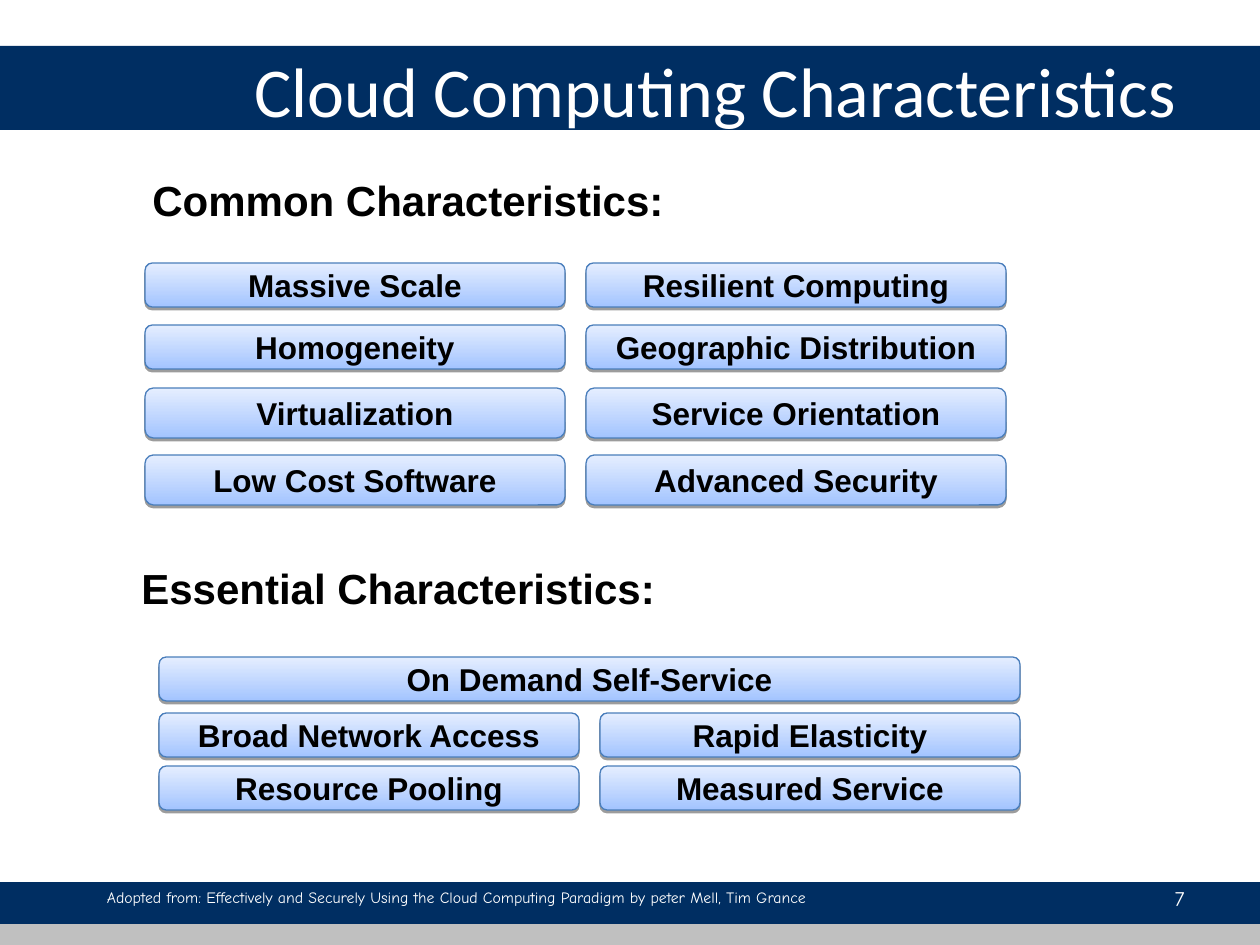
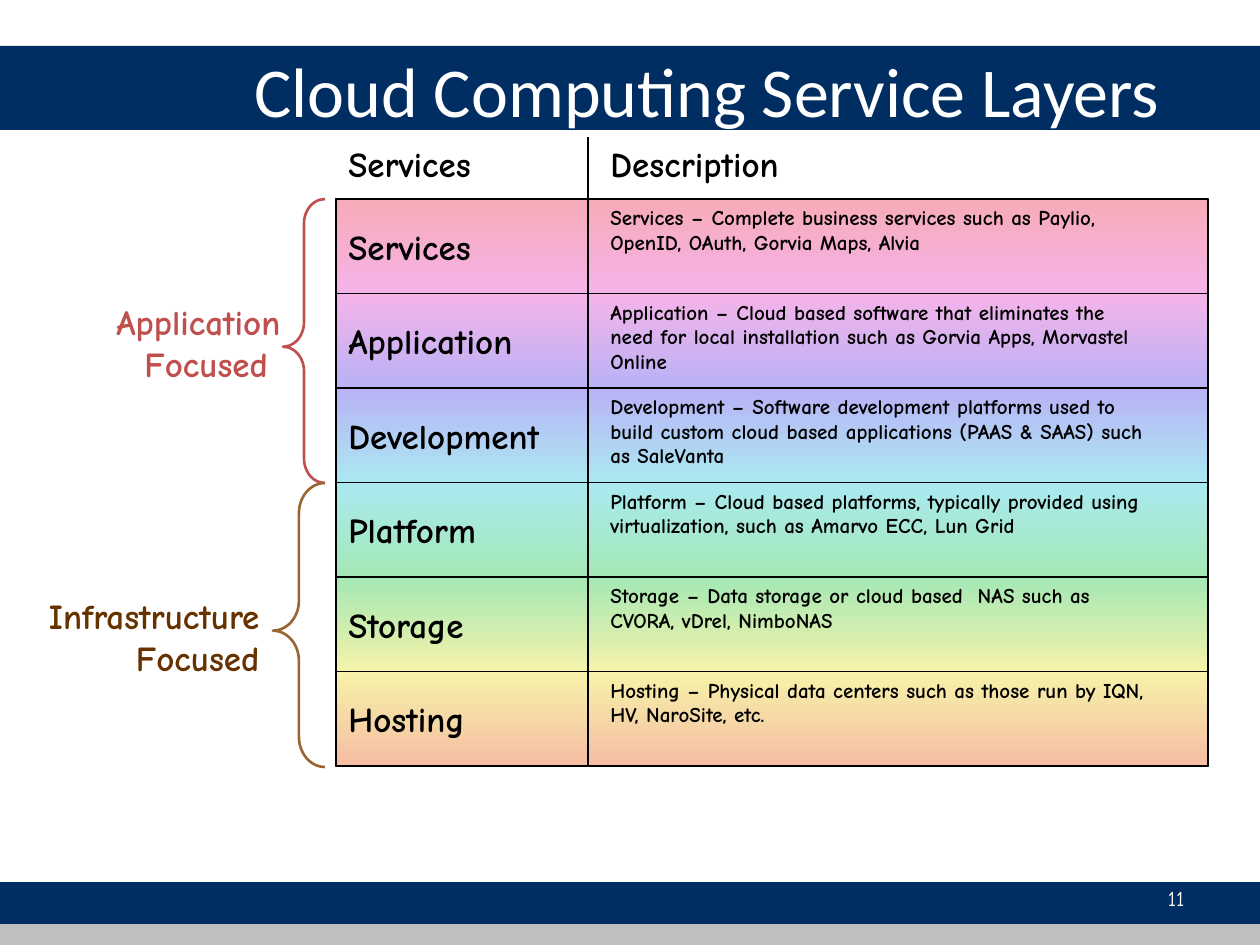
import dataclasses

import pptx
import pptx.dml.color
import pptx.enum.shapes
import pptx.enum.text
import pptx.oxml
import pptx.oxml.ns
import pptx.util

RGB = pptx.dml.color.RGBColor
SHAPE = pptx.enum.shapes.MSO_SHAPE
ALIGN = pptx.enum.text.PP_ALIGN
ANCHOR = pptx.enum.text.MSO_ANCHOR

NAVY = RGB(0x00, 0x2E, 0x62)
SILVER = RGB(0xC0, 0xC0, 0xC0)
WHITE = RGB(0xFF, 0xFF, 0xFF)
BLACK = RGB(0x00, 0x00, 0x00)
CHIP_DARK = RGB(0xA3, 0xC4, 0xFF)
CHIP_LIGHT = RGB(0xE5, 0xEE, 0xFF)
CHIP_LINE = RGB(0x4A, 0x7E, 0xBB)
BRICK = RGB(0xC0, 0x50, 0x4D)
BROWN = RGB(0x66, 0x33, 0x00)
TAN = RGB(0x99, 0x66, 0x33)
RAINBOW = [
    RGB(0xEB, 0x2D, 0x4D), RGB(0xE9, 0x43, 0xC9), RGB(0x52, 0x3E, 0xEA),
    RGB(0x2D, 0xCA, 0xDF), RGB(0x1B, 0xC7, 0x48), RGB(0xEB, 0xE2, 0x29),
    RGB(0xE9, 0x5B, 0x1B),
]

EMU_PER_PX = 914400 / 126
SLIDE_WIDTH, SLIDE_HEIGHT = 1260, 945
CHIP_WIDTH, CHIP_PITCH, CHIP_INDENT = 420, 441, 22

COMMON_ROWS = [
    (11, 44, ["Massive Scale", "Resilient Computing"]),
    (73, 44, ["Homogeneity", "Geographic Distribution"]),
    (136, 50, ["Virtualization", "Service Orientation"]),
    (203, 50, ["Low Cost Software", "Advanced Security"]),
]
ESSENTIAL_ROWS = [
    (6, 44, ["On Demand Self-Service"]),
    (62, 44, ["Broad Network Access", "Rapid Elasticity"]),
    (115, 44, ["Resource Pooling", "Measured Service"]),
]
LAYERS = [
    ("Services", "Complete business services such as Paylio, OpenID, OAuth, Gorvia Maps, Alvia"),
    ("Application", "Cloud based software that eliminates the need for local installation "
                    "such as Gorvia Apps, Morvastel Online"),
    ("Development", "Software development platforms used to build custom cloud based "
                    "applications (PAAS & SAAS) such as SaleVanta"),
    ("Platform", "Cloud based platforms, typically provided using virtualization, "
                 "such as Amarvo ECC, Lun Grid"),
    ("Storage", "Data storage or cloud based  NAS such as CVORA, vDrel, NimboNAS"),
    ("Hosting", "Physical data centers such as those run by IQN, HV, NaroSite, etc."),
]


@dataclasses.dataclass(frozen=True)
class TextStyle:
    """Look of a block of text."""
    font: str
    size: int
    color: RGB = BLACK
    bold: bool = True
    align: ALIGN = ALIGN.LEFT
    anchor: ANCHOR = ANCHOR.TOP
    line_points: int = 0


TITLE = TextStyle("Calibri", 40, WHITE, False, anchor=ANCHOR.MIDDLE)
HEADING = TextStyle("Arial", 24)
CHIP = TextStyle("Arial", 18, align=ALIGN.CENTER, anchor=ANCHOR.MIDDLE)
SOURCE_NOTE = TextStyle("Comic Neue", 9, WHITE, False, ALIGN.CENTER)
PAGE_NUMBER = TextStyle("Comic Neue", 12, WHITE, False, ALIGN.RIGHT, ANCHOR.MIDDLE)
COLUMN_HEAD = TextStyle("Comic Neue", 20)
LAYER_NAME = dataclasses.replace(COLUMN_HEAD, anchor=ANCHOR.MIDDLE)
DESCRIPTION = TextStyle("Comic Neue", 12, line_points=14)


def px(*lengths):
    """Turn px lengths into EMU."""
    return [pptx.util.Emu(round(length * EMU_PER_PX)) for length in lengths]


def write(shape, lines, style):
    """Fill a shape with one paragraph per line."""
    frame = shape.text_frame
    frame.word_wrap = True
    frame.auto_size = pptx.enum.text.MSO_AUTO_SIZE.NONE
    frame.vertical_anchor = style.anchor
    for index, line in enumerate(lines):
        paragraph = frame.add_paragraph() if index else frame.paragraphs[0]
        paragraph.alignment = style.align
        if style.line_points:
            paragraph.line_spacing = pptx.util.Pt(style.line_points)
        run = paragraph.add_run()
        run.text = line
        run.font.name = style.font
        run.font.size = pptx.util.Pt(style.size)
        run.font.bold = style.bold
        run.font.color.rgb = style.color


def add_text(slide, box, lines, style):
    """Place a text box."""
    write(slide.shapes.add_textbox(*px(*box)), lines, style)


def add_shape(slide, kind, box, fill=None, line=None, line_points=0.75):
    """Place a preset shape without shadow, with a flat fill or none."""
    shape = slide.shapes.add_shape(kind, *px(*box))
    shape.shadow.inherit = False
    if fill is None:
        shape.fill.background()
    else:
        shape.fill.solid()
        shape.fill.fore_color.rgb = fill
    if line is None:
        shape.line.fill.background()
    else:
        shape.line.color.rgb = line
        shape.line.width = pptx.util.Pt(line_points)
    return shape


def set_gradient(shape, colors, angle, opacity=100):
    """Give a shape a two-colour linear gradient."""
    shape.fill.gradient()
    shape.fill.gradient_angle = angle
    for stop, color in zip(shape.fill.gradient_stops, colors):
        stop.color.rgb = color
    if opacity < 100:
        for stop in shape.element.iter(pptx.oxml.ns.qn("a:gs")):
            stop[0].append(pptx.oxml.parse_xml(
                f'<a:alpha {pptx.oxml.ns.nsdecls("a")} val="{opacity * 1000}"/>'))


def add_drop_shadow(shape):
    """Put a hard shadow just below a shape."""
    effects = shape.element.spPr.find(pptx.oxml.ns.qn("a:effectLst"))
    effects.append(pptx.oxml.parse_xml(
        f'<a:outerShdw {pptx.oxml.ns.nsdecls("a")} blurRad="0" dist="20000" dir="5400000" '
        'rotWithShape="0"><a:srgbClr val="000000"><a:alpha val="38000"/></a:srgbClr>'
        '</a:outerShdw>'))


def prepare_layout(layout):
    """Keep only the title on the layout and move it into the top band."""
    for placeholder in list(layout.placeholders):
        if placeholder.placeholder_format.type == pptx.enum.shapes.PP_PLACEHOLDER.TITLE:
            placeholder.left, placeholder.top, placeholder.width, placeholder.height = px(
                242, 10, 998, 158)
        else:
            placeholder.element.getparent().remove(placeholder.element)


def add_bands(slide):
    """Draw the bands and hand them to the layout, behind its title."""
    tree = slide.slide_layout.shapes.element
    for top, height, color in [(882, 42, NAVY), (46, 84, NAVY), (924, 21, SILVER)]:
        band = add_shape(slide, SHAPE.RECTANGLE, (0, top, SLIDE_WIDTH, height), color)
        tree.insert(2, band.element)


def add_titled_slide(presentation, layout, title, number):
    """Add a slide with its title and page number."""
    slide = presentation.slides.add_slide(layout)
    write(slide.shapes.title, [title], TITLE)
    add_text(slide, (903, 873, 294, 50), [number], PAGE_NUMBER)
    return slide


def add_chip_panel(slide, left, top, height, rows):
    """Lay rows of chips on a panel; a lone chip spans both columns."""
    add_shape(slide, SHAPE.RECTANGLE, (left, top, 903, height), WHITE)
    for offset, chip_height, labels in rows:
        width = CHIP_WIDTH if len(labels) > 1 else CHIP_PITCH + CHIP_WIDTH
        for column, label in enumerate(labels):
            box = (left + CHIP_INDENT + column * CHIP_PITCH, top + offset, width, chip_height)
            chip = add_shape(slide, SHAPE.ROUNDED_RECTANGLE, box, line=CHIP_LINE)
            set_gradient(chip, (CHIP_DARK, CHIP_LIGHT), 90)
            add_drop_shadow(chip)
            write(chip, [label], CHIP)


def add_layer_stack(slide, left, top, width, height):
    """Stack the service layers with their descriptions and column heads."""
    row_height = height / len(LAYERS)
    divider = left + 252
    text_left = divider + 10
    for row, (name, description) in enumerate(LAYERS):
        row_top = top + row * row_height
        layer = add_shape(slide, SHAPE.RECTANGLE, (left, row_top, width, row_height), line=BLACK)
        set_gradient(layer, RAINBOW[row:row + 2], 270, 40)
        write(layer, [name], LAYER_NAME)
        add_text(slide, (text_left, row_top, 567, row_height),
                 [f"{name} – {description}"], DESCRIPTION)
    add_shape(slide, SHAPE.RECTANGLE, (left, top, width, height), line=BLACK, line_points=1.5)
    add_text(slide, (left, top - 63, 252, 55), ["Services"], COLUMN_HEAD)
    add_text(slide, (text_left, top - 63, 580, 55), ["Description"], COLUMN_HEAD)
    line = slide.shapes.add_connector(
        pptx.enum.shapes.MSO_CONNECTOR.STRAIGHT,
        *px(divider, top + height, divider, top - 62))
    line.line.color.rgb = BLACK
    line.line.width = pptx.util.Pt(0.75)
    line.element.spPr.append(pptx.oxml.parse_xml(
        f'<a:effectLst {pptx.oxml.ns.nsdecls("a")}/>'))


def add_focus(slide, brace_box, text_box, lines, line_color, text_color):
    """Bracket a run of layers and name their focus."""
    brace = add_shape(slide, SHAPE.LEFT_BRACE, brace_box, line=line_color, line_points=1.5)
    brace.adjustments[0] = 0.58
    brace.adjustments[1] = 0.52
    style = dataclasses.replace(COLUMN_HEAD, color=text_color, align=ALIGN.RIGHT)
    add_text(slide, text_box, lines, style)


def fill_characteristics(slide):
    """Fill the slide of common and essential characteristics."""
    add_text(slide, (140, 168, 560, 63), ["Common Characteristics:"], HEADING)
    add_chip_panel(slide, 123, 252, 276, COMMON_ROWS)
    add_text(slide, (129, 556, 560, 63), ["Essential Characteristics:"], HEADING)
    add_chip_panel(slide, 137, 651, 168, ESSENTIAL_ROWS)
    add_text(slide, (63, 882, 786, 32),
             ["Adopted from: Effectively and Securely Using the Cloud Computing Paradigm "
              "by peter Mell, Tim Grance"], SOURCE_NOTE)


def fill_service_layers(slide):
    """Fill the slide of service layers."""
    add_layer_stack(slide, 336, 199, 872, 567)
    add_focus(slide, (283, 199, 42, 284), (78, 294, 215, 97),
              ["Application", "Focused "], BRICK, BRICK)
    add_focus(slide, (273, 483, 52, 284), (20, 588, 252, 97),
              ["Infrastructure", "Focused"], TAN, BROWN)


def main():
    """Build and save the presentation."""
    presentation = pptx.Presentation()
    presentation.slide_width, presentation.slide_height = px(SLIDE_WIDTH, SLIDE_HEIGHT)
    layout = presentation.slide_layouts[5]
    prepare_layout(layout)
    characteristics = add_titled_slide(
        presentation, layout, "Cloud Computing Characteristics", "7")
    add_bands(characteristics)
    fill_characteristics(characteristics)
    fill_service_layers(add_titled_slide(
        presentation, layout, "Cloud Computing Service Layers", "11"))
    presentation.save("out.pptx")


if __name__ == "__main__":
    main()
